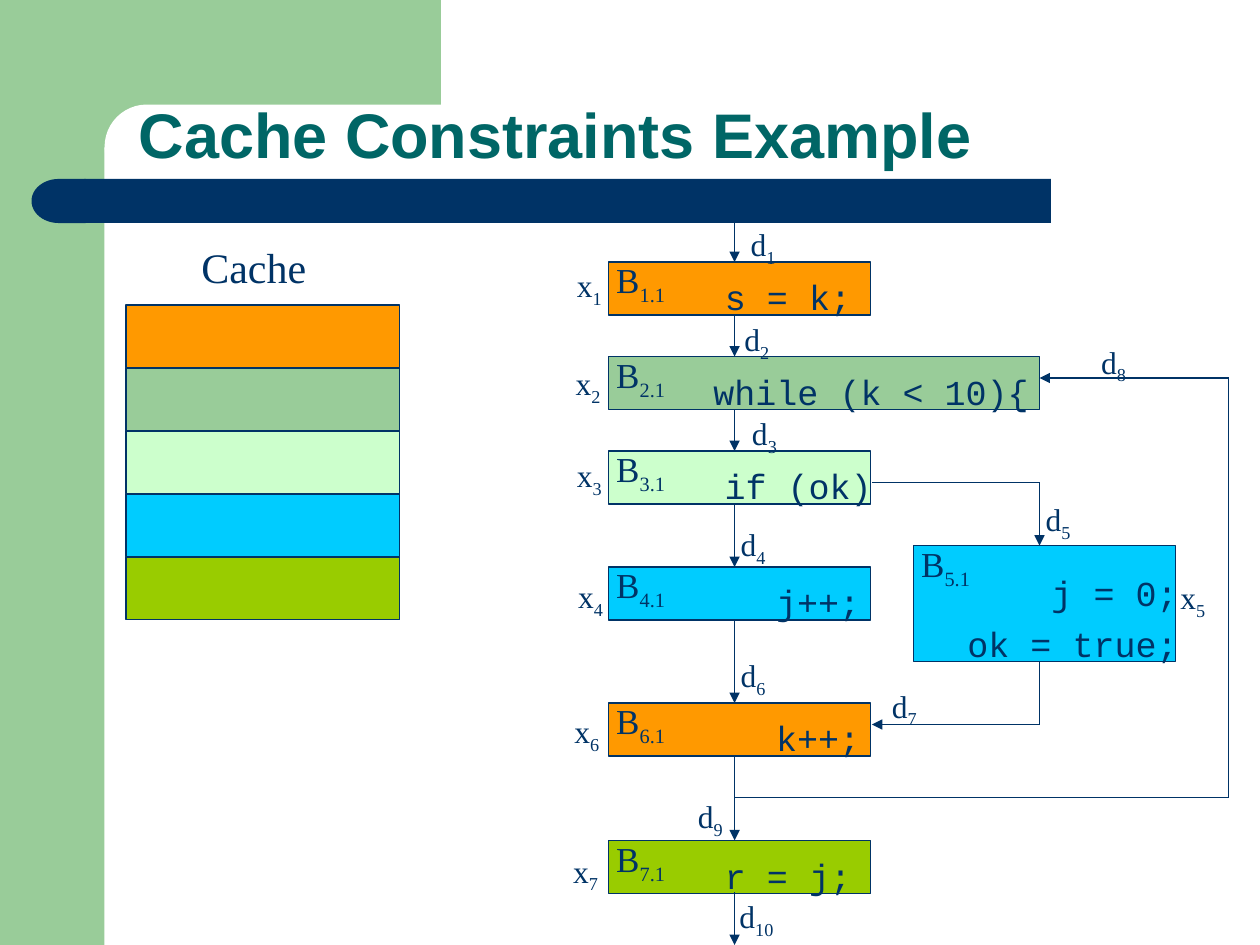
from typing import NamedTuple

from lxml.etree import SubElement
from pptx import Presentation
from pptx.dml.color import RGBColor
from pptx.enum.shapes import MSO_CONNECTOR, MSO_SHAPE
from pptx.enum.text import MSO_ANCHOR, MSO_AUTO_SIZE, PP_ALIGN
from pptx.oxml.ns import qn
from pptx.util import Inches, Pt

INK = {
    "navy": "003366", "teal": "006666", "white": "FFFFFF", "sage": "99CC99",
    "orange": "FF9900", "mint": "CCFFCC", "sky": "00CCFF", "lime": "99CC00",
}
SERIF, MONO = "Times New Roman", "Courier New"
AXIS, SIDE, LOOP = 5.83, 8.25, 9.75


class Rect(NamedTuple):
    left: float
    top: float
    width: float
    height: float


class Block(NamedTuple):
    name: str
    box: Rect
    fill: str
    code: str
    area: Rect


class Label(NamedTuple):
    text: str
    left: float
    top: float


class Edge(NamedTuple):
    points: tuple
    arrow: bool = True


def row(num: int, top: float, fill: str, code: str, left: float,
        span: float, width: float = 2.08) -> Block:
    return Block(f"B_{num}.1", Rect(4.83, top, width, 0.42), fill, code,
                 Rect(left, top + 0.11, span, 0.33))


BLOCKS = [
    row(1, 2.08, "orange", "s = k;", 5.67, 1.17),
    row(2, 2.83, "sage", "while (k < 10){", 5.58, 2.67, 3.42),
    row(3, 3.58, "mint", "if (ok)", 5.75, 1.17),
    row(4, 4.5, "sky", "j++;", 6.08, 0.83),
    Block("B_5.1", Rect(7.25, 4.33, 2.08, 0.92), "sky",
          "    j = 0;\nok = true;", Rect(7.58, 4.53, 1.83, 0.75)),
    row(6, 5.58, "orange", "k++;", 6.08, 0.83),
    row(7, 6.67, "lime", "r = j;", 5.67, 1.17),
]

LABELS = [
    Label("d_1", 5.86, 1.71), Label("d_2", 5.81, 2.46),
    Label("d_3", 5.87, 3.21), Label("d_4", 5.78, 4.09),
    Label("d_5", 8.2, 3.89), Label("d_6", 5.78, 5.13),
    Label("d_7", 6.98, 5.37), Label("d_8", 8.64, 2.64),
    Label("d_9", 5.44, 6.25), Label("d_10", 5.77, 7.04),
    Label("x_1", 4.48, 2.03), Label("x_2", 4.47, 2.81),
    Label("x_3", 4.48, 3.54), Label("x_4", 4.49, 4.5),
    Label("x_5", 9.27, 4.51), Label("x_6", 4.46, 5.57),
    Label("x_7", 4.45, 6.68),
]

DROPS = [(1.75, 2.08), (2.5, 2.83), (3.25, 3.58), (4, 4.5),
         (4.92, 5.58), (6, 6.67), (7.08, 7.5)]
EDGES = [Edge(((AXIS, start), (AXIS, end))) for start, end in DROPS] + [
    Edge(((6.92, 3.83), (SIDE, 3.83), (SIDE, 4.33))),
    Edge(((SIDE, 5.25), (SIDE, 5.75), (6.92, 5.75))),
    Edge(((AXIS, 6.33), (LOOP, 6.33), (LOOP, 3), (SIDE, 3))),
]


def tint(name: str) -> RGBColor:
    return RGBColor.from_string(INK[name])


def write(frame, text: str, *, font: str = SERIF, size: int = 18,
          color: str = "navy", bold: bool = False, align=PP_ALIGN.LEFT,
          anchor=MSO_ANCHOR.TOP, wrap: bool = True, gap: float = 0,
          pitch: float = 1) -> None:
    frame.auto_size = MSO_AUTO_SIZE.NONE
    frame.word_wrap = wrap
    frame.vertical_anchor = anchor
    for index, line in enumerate(text.split("\n")):
        para = frame.add_paragraph() if index else frame.paragraphs[0]
        para.alignment = align
        para.line_spacing = pitch
        if index:
            para.space_before = Pt(gap)
        base, _, sub = line.partition("_")
        for part, shift in ((base, 0), (sub, -25000)):
            if not part:
                continue
            run = para.add_run()
            run.text = part
            run.font.name = font
            run.font.size = Pt(size)
            run.font.bold = bold
            run.font.color.rgb = tint(color)
            if shift:
                run.font._element.set("baseline", str(shift))


def place(shapes, rect: Rect, text: str, **style) -> None:
    box = shapes.add_textbox(*map(Inches, rect))
    write(box.text_frame, text, **style)


def draw(shapes, rect: Rect, fill: str, kind=MSO_SHAPE.RECTANGLE,
         edge: bool = False):
    shape = shapes.add_shape(kind, *map(Inches, rect))
    shape.shadow.inherit = False
    shape.fill.solid()
    shape.fill.fore_color.rgb = tint(fill)
    if edge:
        shape.line.color.rgb = tint("navy")
        shape.line.width = Pt(0.75)
    else:
        shape.line.fill.background()
    return shape


def link(shapes, edge: Edge) -> None:
    pairs = list(zip(edge.points, edge.points[1:]))
    for index, (start, end) in enumerate(pairs, 1):
        line = shapes.add_connector(
            MSO_CONNECTOR.STRAIGHT, *map(Inches, start + end))
        line.line.color.rgb = tint("navy")
        line.line.width = Pt(0.75)
        if edge.arrow and index == len(pairs):
            SubElement(line.line._get_or_add_ln(), qn("a:tailEnd"),
                       type="triangle")
        SubElement(line._element.spPr, qn("a:effectLst"))


def frame(shapes) -> None:
    draw(shapes, Rect(0, 0, 0.83, 7.5), "sage")
    draw(shapes, Rect(0.75, 0, 2.75, 1.17), "sage")
    panel = draw(shapes, Rect(0.83, 0.83, 5.58, 0.67), "white",
                 MSO_SHAPE.ROUNDED_RECTANGLE)
    panel.adjustments[0] = 0.5
    draw(shapes, Rect(0.67, 1.42, 7.67, 0.35), "navy")
    cap = draw(shapes, Rect(0.25, 1.42, 0.43, 0.35), "navy",
               MSO_SHAPE.FLOWCHART_DELAY)
    cap.rotation = 180


def head(shapes) -> None:
    title = shapes.title
    title.left, title.top, title.width, title.height = map(
        Inches, (1, 0.75, 8.75, 0.67))
    write(title.text_frame, "Cache Constraints Example", font="Arial",
          size=36, color="teal", bold=True, anchor=MSO_ANCHOR.BOTTOM,
          pitch=0.9)
    shapes._spTree.append(title._element)


def flow(shapes) -> None:
    for block in BLOCKS:
        draw(shapes, block.box, block.fill, edge=True)
    for edge in EDGES:
        link(shapes, edge)
    for block in BLOCKS:
        align = PP_ALIGN.LEFT if "\n" in block.code else PP_ALIGN.CENTER
        place(shapes, block.area, block.code, font=MONO, size=20, gap=5,
              align=align, anchor=MSO_ANCHOR.MIDDLE, wrap=False)
        spot = Rect(block.box.left + 0.09, block.box.top, 0.33, 0.33)
        place(shapes, spot, block.name, size=20, align=PP_ALIGN.CENTER,
              anchor=MSO_ANCHOR.MIDDLE, wrap=False)
    for label in LABELS:
        place(shapes, Rect(label.left, label.top + 0.03, 0.5, 0.44),
              label.text)


def cache(shapes) -> None:
    for index, fill in enumerate(("orange", "sage", "mint", "sky", "lime")):
        draw(shapes, Rect(1, 2.42 + index * 0.5, 2.17, 0.5), fill, edge=True)
    place(shapes, Rect(1.5, 1.87, 1.08, 0.5), "Cache", size=24)


def main() -> None:
    deck = Presentation()
    deck.slide_width, deck.slide_height = Inches(10), Inches(7.5)
    shapes = deck.slides.add_slide(deck.slide_layouts[5]).shapes
    for part in (frame, head, flow, cache):
        part(shapes)
    deck.save("out.pptx")


if __name__ == "__main__":
    main()
